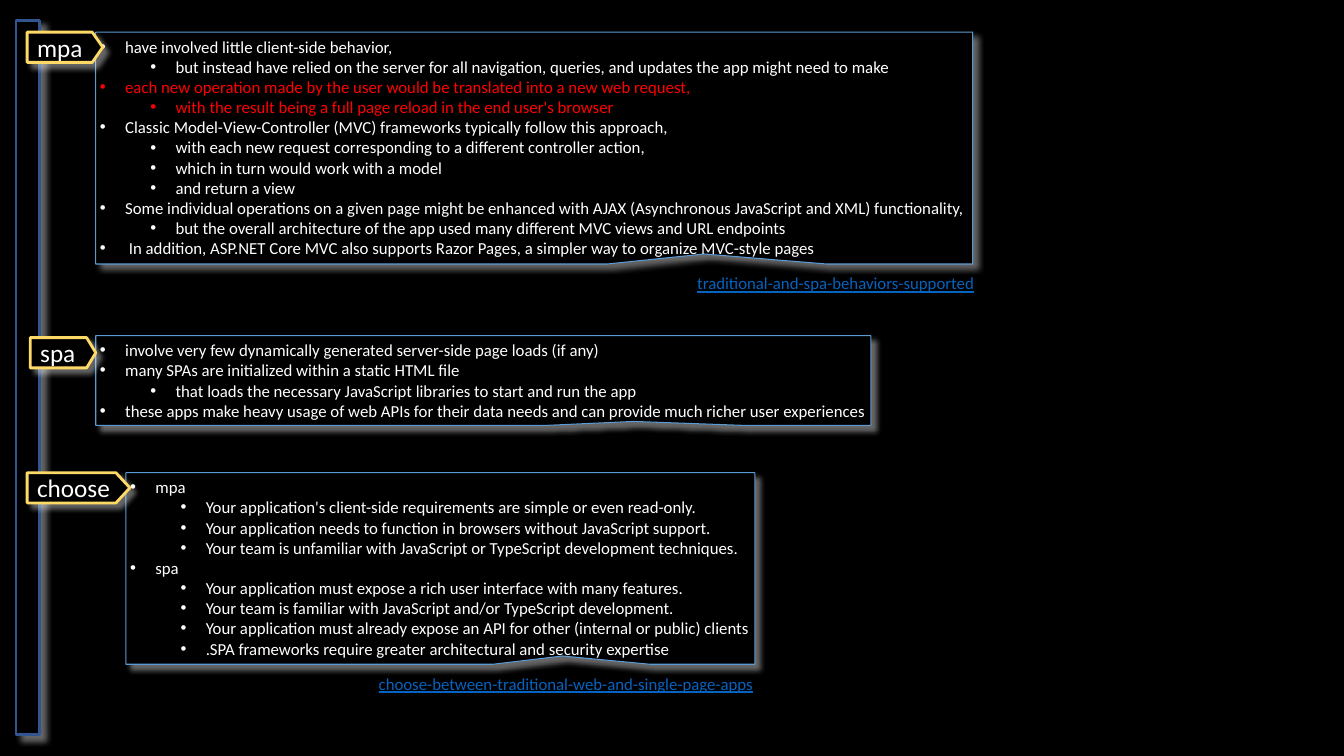
from lxml import etree
from pptx import Presentation
from pptx.dml.color import RGBColor
from pptx.enum.shapes import MSO_SHAPE
from pptx.enum.text import MSO_ANCHOR, MSO_AUTO_SIZE, PP_ALIGN
from pptx.oxml import parse_xml
from pptx.oxml.ns import nsdecls, qn
from pptx.util import Pt

BLACK = RGBColor(0x00, 0x00, 0x00)
WHITE = RGBColor(0xFF, 0xFF, 0xFF)
RED = RGBColor(0xFF, 0x00, 0x00)
BLUE = RGBColor(0x5B, 0x9B, 0xD5)
NAVY = RGBColor(0x32, 0x54, 0x91)
GOLD = RGBColor(0xFF, 0xD9, 0x66)
LINK = RGBColor(0x05, 0x63, 0xC1)

RECT = MSO_SHAPE.RECTANGLE
CALLOUT = MSO_SHAPE.RECTANGULAR_CALLOUT
TOP, MIDDLE = MSO_ANCHOR.TOP, MSO_ANCHOR.MIDDLE
GROW = MSO_AUTO_SIZE.SHAPE_TO_FIT_TEXT
LEFT = PP_ALIGN.LEFT

FONT = "Calibri"
TAG_H = 21.6

MPA = [
    (0, "have involved little client-side behavior,", WHITE),
    (1, "but instead have relied on the server for all navigation, queries, "
        "and updates the app might need to make", WHITE),
    (0, "each new operation made by the user would be translated into "
        "a new web request,", RED),
    (1, "with the result being a full page reload in the end user's browser", RED),
    (0, "Classic Model-View-Controller (MVC) frameworks typically follow "
        "this approach,", WHITE),
    (1, "with each new request corresponding to a different controller action,", WHITE),
    (1, "which in turn would work with a model", WHITE),
    (1, "and return a view", WHITE),
    (0, "Some individual operations on a given page might be enhanced with AJAX "
        "(Asynchronous JavaScript and XML) functionality,", WHITE),
    (1, "but the overall architecture of the app used many different MVC views "
        "and URL endpoints", WHITE),
    (0, " In addition, ASP.NET Core MVC also supports Razor Pages, a simpler way "
        "to organize MVC-style pages", WHITE),
]
SPA = [
    (0, "involve very few dynamically generated server-side page loads (if any)", WHITE),
    (0, "many SPAs are initialized within a static HTML file", WHITE),
    (1, "that loads the necessary JavaScript libraries to start and run the app", WHITE),
    (0, "these apps make heavy usage of web APIs for their data needs and can "
        "provide much richer user experiences", WHITE),
]
CHOOSE = [
    (0, "mpa", WHITE),
    (1, "Your application's client-side requirements are simple or even read-only.", WHITE),
    (1, "Your application needs to function in browsers without JavaScript support.", WHITE),
    (1, "Your team is unfamiliar with JavaScript or TypeScript development "
        "techniques.", WHITE),
    (0, "spa", WHITE),
    (1, "Your application must expose a rich user interface with many features.", WHITE),
    (1, "Your team is familiar with JavaScript and/or TypeScript development.", WHITE),
    (1, "Your application must already expose an API for other (internal or public) "
        "clients", WHITE),
    (1, ".SPA frameworks require greater architectural and security expertise", WHITE),
]


def paint(shape, color, width):
    """Give a shape a black fill, a coloured outline and a white glow-like shadow."""
    shape.fill.solid()
    shape.fill.fore_color.rgb = BLACK
    shape.line.color.rgb = color
    shape.line.width = Pt(width)
    shape.shadow.inherit = False
    effects = shape._element.spPr.find(qn("a:effectLst"))
    effects.append(parse_xml(
        f'<a:outerShdw {nsdecls("a")} blurRad="{Pt(4)}" dist="{Pt(5)}" dir="2700000" '
        'algn="tl" rotWithShape="0"><a:srgbClr val="FFFFFF"><a:alpha val="40000"/>'
        '</a:srgbClr></a:outerShdw>'))


def frame(shape, anchor, insets):
    """Set up an unwrapped text frame that grows with its text."""
    text = shape.text_frame
    text.word_wrap = False
    text.auto_size = GROW
    text.vertical_anchor = anchor
    text.margin_left, text.margin_top, text.margin_right, text.margin_bottom = map(Pt, insets)
    return text


def write(para, text, size, color):
    """Fill a left-aligned paragraph and format its runs."""
    para.text = text
    para.alignment = LEFT
    for run in para.runs:
        run.font.size = Pt(size)
        run.font.name = FONT
        run.font.color.rgb = color


def bullet(para, level):
    """Add a bullet and a hanging indent for the level."""
    para.level = level
    props = para._p.get_or_add_pPr()
    props.set("marL", str(Pt(18 + 36 * level)))
    props.set("indent", str(Pt(-18)))
    etree.SubElement(props, qn("a:buFont")).set("typeface", "Arial")
    etree.SubElement(props, qn("a:buChar")).set("char", "•")


def add_bar(slide, x, y, w, h):
    """Draw the upright bar at the left edge."""
    bar = slide.shapes.add_shape(RECT, Pt(x), Pt(y), Pt(w), Pt(h))
    paint(bar, NAVY, 2)


def add_notes(slide, box, lines):
    """Draw a callout with its bulleted lines in the box."""
    note = slide.shapes.add_shape(CALLOUT, *map(Pt, box))
    note.adjustments[0], note.adjustments[1] = 0.194, 0.457
    paint(note, BLUE, 0.75)
    text = frame(note, TOP, (3, 3, 3, 3))
    for i, (level, line, color) in enumerate(lines):
        para = text.add_paragraph() if i else text.paragraphs[0]
        bullet(para, level)
        write(para, line, 12, color)


def add_tag(slide, x, y, w, tip, name):
    """Draw a pointed label of the given width and tip length."""
    neck, end = Pt(x + w - tip), Pt(y + TAG_H)
    pen = slide.shapes.build_freeform(Pt(x), Pt(y))
    pen.add_line_segments([(neck, Pt(y)), (Pt(x + w), Pt(y + TAG_H / 2)),
                           (neck, end), (Pt(x), end)])
    tag = pen.convert_to_shape()
    paint(tag, GOLD, 2)
    text = frame(tag, MIDDLE, (7.2, 0, 11, 0))
    write(text.paragraphs[0], name, 18, WHITE)


def add_link(slide, box, w, name):
    """Place an underlined source name below the right end of the box."""
    x, y, wide, high = box
    label = slide.shapes.add_textbox(Pt(x + wide + 8.5 - w), Pt(y + high + 3), Pt(w), Pt(21.6))
    para = frame(label, TOP, (7.2, 3.6, 7.2, 3.6)).paragraphs[0]
    write(para, name, 12, LINK)
    para.runs[0].font.underline = True


def main():
    """Build the slide and save it."""
    deck = Presentation()
    deck.slide_width, deck.slide_height = Pt(960), Pt(540)
    slide = deck.slides.add_slide(deck.slide_layouts[6])
    slide.background.fill.solid()
    slide.background.fill.fore_color.rgb = BLACK

    add_bar(slide, 11.5, 14.4, 16.5, 510.5)
    mpa = (68.4, 23, 626.4, 165.6)
    spa = (68.4, 239.8, 553.7, 64)
    choose = (90, 337.7, 449.3, 136.8)
    add_notes(slide, mpa, MPA)
    add_tag(slide, 19.4, 23, 54, 7.5, "mpa")
    add_link(slide, mpa, 212.4, "traditional-and-spa-behaviors-supported")
    add_notes(slide, spa, SPA)
    add_tag(slide, 21.6, 241.2, 46.8, 6.5, "spa")
    add_notes(slide, choose, CHOOSE)
    add_tag(slide, 19.4, 337.7, 73.4, 10, "choose")
    add_link(slide, choose, 284.4, "choose-between-traditional-web-and-single-page-apps")
    deck.save("out.pptx")


if __name__ == "__main__":
    main()
